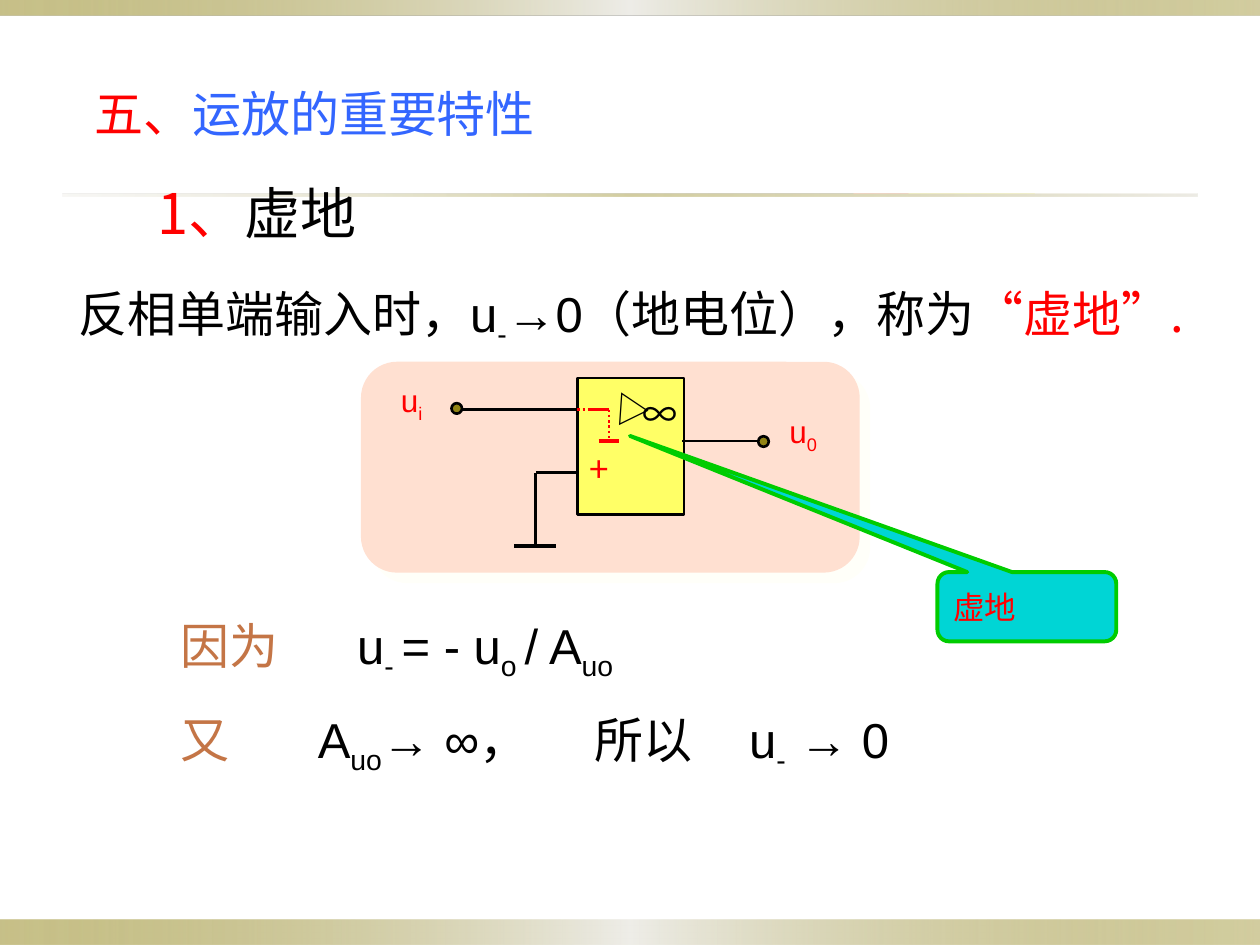
"""Builds a slide on the virtual ground of an operational amplifier."""
import dataclasses

import lxml.etree
import pptx
import pptx.dml.color
import pptx.enum.dml
import pptx.enum.shapes
import pptx.enum.text
import pptx.oxml.ns
import pptx.util

Pt = pptx.util.Pt
Shape = pptx.enum.shapes.MSO_SHAPE
qn = pptx.oxml.ns.qn


@dataclasses.dataclass(frozen=True)
class Theme:
    """Colours, fonts and type sizes of the slide."""
    black: str = "000000"
    red: str = "FF0000"
    blue: str = "3366FF"
    brown: str = "C47546"
    olive: str = "918415"
    silver: str = "EEEDE8"
    sand: str = "DCD9CC"
    peach: str = "FFE0D1"
    glow: str = "FFFFF4"
    yellow: str = "FFFF66"
    cyan: str = "00D5D5"
    green: str = "00CC00"
    latin: str = "Arial"
    chinese: str = "Noto Sans CJK SC"
    heading: int = 32
    body: int = 28
    symbol: int = 20
    label: int = 18


THEME = Theme()


def rgb(value):
    """Return a colour object for a hex string."""
    return pptx.dml.color.RGBColor.from_string(value)


def add_color(parent, value, alpha):
    """Append a colour with an opacity in percent."""
    color = lxml.etree.SubElement(parent, qn("a:srgbClr"), val=value)
    lxml.etree.SubElement(color, qn("a:alpha"), val=str(alpha * 1000))


def add_spans(paragraph, spans, size):
    """Fill a paragraph with (text, colour, font, is_subscript) spans."""
    for text, color, font, lowered in spans:
        span = paragraph.add_run()
        span.text = text
        span.font.size = Pt(size)
        span.font.name = font
        span.font.color.rgb = rgb(color)
        properties = span.font._element
        lxml.etree.SubElement(properties, qn("a:ea"), typeface=THEME.chinese)
        if lowered:
            properties.set("baseline", "-25000")


def add_text(shapes, bounds, spans, size, inset=True, wrap=True, tabs=(), rotation=0):
    """Add a text box with one paragraph and optional tab stops."""
    box = shapes.add_textbox(*map(Pt, bounds))
    box.rotation = rotation
    frame = box.text_frame
    frame.word_wrap = wrap
    frame.auto_size = pptx.enum.text.MSO_AUTO_SIZE.SHAPE_TO_FIT_TEXT
    if not inset:
        frame.margin_left = frame.margin_right = frame.margin_top = frame.margin_bottom = 0
    paragraph = frame.paragraphs[0]
    if tabs:
        stops = lxml.etree.SubElement(paragraph._p.get_or_add_pPr(), qn("a:tabLst"))
        for position in tabs:
            lxml.etree.SubElement(stops, qn("a:tab"), pos=str(Pt(position)), algn="l")
    add_spans(paragraph, spans, size)
    return box


def add_figure(shapes, preset, bounds, fill, line, width=1.5):
    """Add a filled and outlined preset shape without a shadow."""
    figure = shapes.add_shape(preset, *map(Pt, bounds))
    figure.shadow.inherit = False
    figure.fill.solid()
    figure.fill.fore_color.rgb = rgb(fill)
    figure.line.color.rgb = rgb(line)
    figure.line.width = Pt(width)
    return figure


def add_band(page, bounds, stops):
    """Add a borderless strip with a horizontal translucent gradient."""
    band = page.shapes.add_shape(Shape.RECTANGLE, *map(Pt, bounds))
    band.shadow.inherit = False
    band.line.fill.background()
    band.fill.background()
    gradient = lxml.etree.Element(qn("a:gradFill"), rotWithShape="1")
    stop_list = lxml.etree.SubElement(gradient, qn("a:gsLst"))
    for position, (color, alpha) in zip((0, 50, 100), stops):
        stop = lxml.etree.SubElement(stop_list, qn("a:gs"), pos=str(position * 1000))
        add_color(stop, color, alpha)
    lxml.etree.SubElement(gradient, qn("a:lin"), ang="0", scaled="1")
    properties = band._element.spPr
    properties.replace(properties.find(qn("a:noFill")), gradient)


def add_wire(shapes, start, end, color=THEME.black, width=1.5, dotted=False):
    """Add a straight wire between two points."""
    wire = shapes.add_connector(
        pptx.enum.shapes.MSO_CONNECTOR.STRAIGHT, *map(Pt, (*start, *end)))
    wire.line.color.rgb = rgb(color)
    wire.line.width = Pt(width)
    if dotted:
        wire.line.dash_style = pptx.enum.dml.MSO_LINE.ROUND_DOT
    lxml.etree.SubElement(wire._element.spPr, qn("a:effectLst"))


def add_frame(page):
    """Add the edge strips and the title rule."""
    edge = ((THEME.olive, 50), (THEME.silver, 100), (THEME.olive, 40))
    rule = ((THEME.sand, 20), (THEME.olive, 40), (THEME.sand, 50))
    add_band(page, (0, 525.6, 720, 14.4), edge)
    add_band(page, (0, 0, 720, 8.64), edge)
    add_band(page, (36, 110.9, 648, 1.5), rule)


def add_statements(page):
    """Add the headings, the definition and the derivation."""
    black, red, brown = THEME.black, THEME.red, THEME.brown
    latin, chinese = THEME.latin, THEME.chinese
    add_text(page.shapes, (90, 102, 204, 39),
             [("1、", red, chinese, False), ("虚地", black, chinese, False)],
             THEME.heading, inset=False)
    add_text(page.shapes, (45, 162, 645, 34),
             [("反相单端输入时，", black, chinese, False), ("u", black, latin, False),
              ("-", black, latin, True), ("→0（", black, latin, False),
              ("地电位），称为", black, chinese, False), ("“", red, latin, False),
              ("虚地", red, chinese, False), ("”", red, latin, False),
              (".", red, chinese, False)], THEME.body, inset=False)
    add_text(page.shapes, (96, 348, 396, 41),
             [("因为\t", brown, latin, False), ("u", black, latin, False),
              ("- ", black, latin, True), ("= - u", black, latin, False),
              ("o ", black, latin, True), ("/ A", black, latin, False),
              ("uo", black, latin, True)], THEME.body, tabs=(101,))
    add_text(page.shapes, (96, 402, 486, 41),
             [("又\t", brown, latin, False), ("A", black, latin, False),
              ("uo", black, latin, True), ("→ ∞，\t所以\tu", black, latin, False),
              ("-", black, latin, True), (" → 0", black, latin, False)],
             THEME.body, tabs=(78.5, 236.5, 325))
    add_text(page.shapes, (54, 48, 294, 34),
             [("五、", red, chinese, False), ("运放的重要特性", THEME.blue, chinese, False)],
             THEME.body, inset=False)


def add_circuit(page):
    """Add the amplifier with its wires, terminals and labels."""
    shapes = page.shapes.add_group_shape().shapes
    panel = add_figure(shapes, Shape.ROUNDED_RECTANGLE, (207, 207.5, 283.5, 119),
                       THEME.peach, THEME.peach)
    effects = panel._element.spPr.find(qn("a:effectLst"))
    shadow = lxml.etree.SubElement(effects, qn("a:outerShdw"), dist=str(Pt(8.5)), dir="2700000")
    add_color(shadow, THEME.glow, 50)
    add_wire(shapes, (294, 312), (318, 312), width=2.25)
    add_figure(shapes, Shape.RECTANGLE, (330, 216, 61, 78), THEME.yellow, THEME.black)
    for symbol, bounds, color, rotation in (
            ("▽", (348, 223, 26, 31), THEME.black, 273.9),
            ("∞", (360, 221, 36, 31), THEME.black, 0),
            ("+", (330, 252, 30, 31), THEME.red, 0)):
        add_text(shapes, bounds, [(symbol, color, THEME.chinese, False)],
                 THEME.symbol, rotation=rotation)
    for start, end in (((264, 234), (330, 234)), ((330, 270), (306, 270)),
                       ((306, 270), (306, 312)), ((390, 252), (438, 252))):
        add_wire(shapes, start, end)
    for left, top in ((258, 230.4), (433.3, 249.3)):
        add_figure(shapes, Shape.OVAL, (left, top, 6, 6), THEME.olive, THEME.black)
    add_wire(shapes, (336, 234), (348, 234), THEME.red)
    for index, bounds in (("i", (222, 214, 32.4, 36)), ("0", (444, 232, 36, 36))):
        add_text(shapes, bounds, [("u", THEME.red, THEME.latin, False),
                                  (index, THEME.red, THEME.latin, True)],
                 THEME.label, wrap=False)


def add_virtual_ground(page):
    """Add the dotted ground inside the amplifier and its callout."""
    shapes = page.shapes.add_group_shape().shapes
    add_wire(shapes, (330, 234), (348, 234), THEME.red, dotted=True)
    add_wire(shapes, (348, 234), (348, 252), THEME.red, dotted=True)
    add_wire(shapes, (342, 252), (354, 252), THEME.red, width=2.25)
    callout = add_figure(page.shapes, Shape.ROUNDED_RECTANGULAR_CALLOUT,
                         (535.7, 326.9, 102.2, 39.6), THEME.cyan, THEME.green, 2.25)
    for index, value in enumerate((-2.22, -2.465, 0.167)):
        callout.adjustments[index] = value
    callout.text_frame.vertical_anchor = pptx.enum.text.MSO_ANCHOR.MIDDLE
    paragraph = callout.text_frame.paragraphs[0]
    paragraph.alignment = pptx.enum.text.PP_ALIGN.LEFT
    add_spans(paragraph, [("虚地", THEME.red, THEME.latin, False)], THEME.label)


def main():
    """Build and save the deck."""
    deck = pptx.Presentation()
    deck.slide_width, deck.slide_height = Pt(720), Pt(540)
    page = deck.slides.add_slide(deck.slide_layouts[6])
    add_frame(page)
    add_statements(page)
    add_circuit(page)
    add_virtual_ground(page)
    deck.save("out.pptx")


if __name__ == "__main__":
    main()
